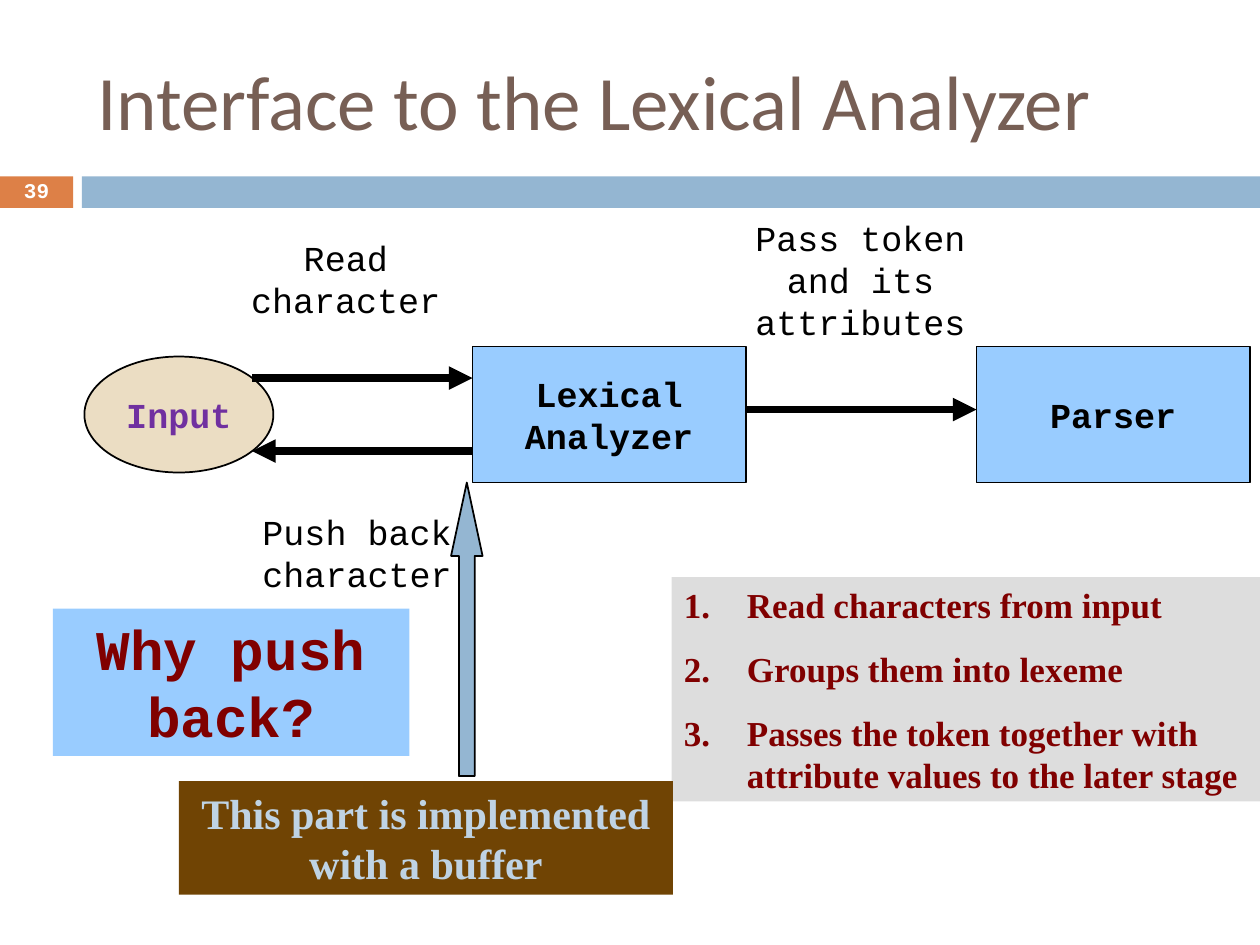
from lxml import etree
from pptx import Presentation
from pptx.dml.color import RGBColor
from pptx.enum.shapes import MSO_CONNECTOR, MSO_SHAPE
from pptx.enum.text import MSO_ANCHOR, MSO_AUTO_SIZE, PP_ALIGN
from pptx.oxml.ns import qn
from pptx.util import Inches, Pt

RECTANGLE, OVAL, UP_ARROW = MSO_SHAPE.RECTANGLE, MSO_SHAPE.OVAL, MSO_SHAPE.UP_ARROW
STRAIGHT = MSO_CONNECTOR.STRAIGHT
TOP, MIDDLE = MSO_ANCHOR.TOP, MSO_ANCHOR.MIDDLE
LEFT, CENTER = PP_ALIGN.LEFT, PP_ALIGN.CENTER
NO_AUTOFIT = MSO_AUTO_SIZE.NONE

TITLE_FONT, MONO, SERIF = "Calibri", "Courier New", "Times New Roman"
COLORS = {
    "title": "775F55", "orange": "DD8047", "steel": "94B6D2",
    "sky": "99CCFF", "sand": "EBDDC3", "gray": "DDDDDD", "brown": "704404",
    "black": "000000", "white": "FFFFFF", "purple": "7030A0",
    "maroon": "800000", "pale": "BFD3E4",
}


def color(name):
    return RGBColor.from_string(COLORS[name])


def add_run(paragraph, text, size, font, color_name, bold=False):
    run = paragraph.add_run()
    run.text = text
    run.font.size = Pt(size)
    run.font.name = font
    run.font.bold = bold
    run.font.color.rgb = color(color_name)


def write(shape, lines, size, font, color_name, bold=False,
          align=CENTER, anchor=TOP, gap=0, numbered=False):
    """Fill a shape with one paragraph per line."""
    frame = shape.text_frame
    frame.word_wrap = True
    frame.auto_size = NO_AUTOFIT
    frame.vertical_anchor = anchor
    for index, line in enumerate(lines):
        paragraph = frame.add_paragraph() if index else frame.paragraphs[0]
        paragraph.alignment = align
        if index and gap:
            paragraph.space_before = Pt(gap)
        if numbered:
            number_paragraph(paragraph, color_name)
        add_run(paragraph, line, size, font, color_name, bold)


def number_paragraph(paragraph, color_name):
    properties = paragraph._p.get_or_add_pPr()
    properties.set("marL", str(Inches(0.5)))
    properties.set("indent", str(Inches(-0.5)))
    bullet_color = etree.SubElement(properties, qn("a:buClr"))
    etree.SubElement(bullet_color, qn("a:srgbClr"), val=COLORS[color_name])
    etree.SubElement(properties, qn("a:buFont"), typeface="+mj-lt")
    etree.SubElement(properties, qn("a:buAutoNum"), type="arabicPeriod")


def add_block(slide, kind, box, fill, outlined=False):
    shape = slide.shapes.add_shape(kind, *map(Inches, box))
    shape.shadow.inherit = False
    shape.fill.solid()
    shape.fill.fore_color.rgb = color(fill)
    if outlined:
        shape.line.color.rgb = color("black")
        shape.line.width = Pt(1)
    else:
        shape.line.fill.background()
    return shape


def add_label(slide, box, text):
    label = slide.shapes.add_textbox(*map(Inches, box))
    write(label, [text], 20, MONO, "black")


def add_arrow(slide, start_x, end_x, y):
    arrow = slide.shapes.add_connector(
        STRAIGHT, Inches(start_x), Inches(y), Inches(end_x), Inches(y))
    arrow.line.color.rgb = color("black")
    arrow.line.width = Pt(4.5)
    etree.SubElement(arrow.line._get_or_add_ln(), qn("a:tailEnd"), type="triangle")
    etree.SubElement(arrow._element.spPr, qn("a:effectLst"))


def add_header(slide):
    title = slide.shapes.title
    title.left, title.top = Inches(0.67), Inches(0.25)
    title.width, title.height = Inches(8.92), Inches(1.08)
    write(title, ["Interface to the Lexical Analyzer"], 44, TITLE_FONT, "title",
          align=LEFT, anchor=MIDDLE)

    # Band with the slide number
    add_block(slide, RECTANGLE, (0.65, 1.4, 9.35, 0.25), "steel")
    number = add_block(slide, RECTANGLE, (0, 1.4, 0.58, 0.25), "orange")
    write(number, ["39"], 12, MONO, "white", bold=True, anchor=MIDDLE)
    number.text_frame.paragraphs[0].line_spacing = 0.8


def add_diagram(slide):
    # Stages: shape, box, fill, lines, text colour
    stages = [
        (RECTANGLE, (3.75, 2.75, 2.17, 1.08), "sky", ["Lexical", "Analyzer"], "black"),
        (RECTANGLE, (7.75, 2.75, 2.17, 1.08), "sky", ["Parser"], "black"),
        (OVAL, (0.67, 2.83, 1.5, 0.92), "sand", ["Input"], "purple"),
    ]
    for kind, box, fill, lines, text_color in stages:
        stage = add_block(slide, kind, box, fill, outlined=True)
        write(stage, lines, 20, MONO, text_color, bold=True, anchor=MIDDLE)

    # Flows between the stages
    add_arrow(slide, 5.92, 7.75, 3.25)
    add_arrow(slide, 2, 3.75, 3)
    add_arrow(slide, 3.75, 2, 3.58)
    add_label(slide, (5.58, 1.67, 2.5, 1.1), "Pass token and its attributes")
    add_label(slide, (1.58, 1.83, 2.33, 0.77), "Read character")
    add_label(slide, (1.92, 4, 1.83, 0.77), "Push back character")


def add_notes(slide):
    # Tasks of the analyzer
    tasks = add_block(slide, RECTANGLE, (5.33, 4.58, 4.67, 1.78), "gray")
    write(tasks, [
        "Read characters from input",
        "Groups them into lexeme",
        "Passes the token together with attribute values to the later stage",
    ], 20, SERIF, "maroon", bold=True, align=LEFT, gap=12.5, numbered=True)

    # Push-back question and its answer
    answer = add_block(slide, RECTANGLE, (1.42, 6.2, 3.92, 0.9), "brown")
    write(answer, ["This part is implemented with a buffer"], 24, SERIF, "pale", bold=True)
    question = add_block(slide, RECTANGLE, (0.42, 4.83, 2.83, 1.17), "sky")
    write(question, ["Why push back?"], 32, MONO, "maroon", bold=True)

    pointer = add_block(slide, UP_ARROW, (3.58, 3.83, 0.25, 2.33), "steel", outlined=True)
    pointer.adjustments[0] = 0.5
    pointer.adjustments[1] = 2.33


def main():
    presentation = Presentation()
    presentation.slide_width, presentation.slide_height = Inches(10), Inches(7.5)
    slide = presentation.slides.add_slide(presentation.slide_layouts[5])
    add_header(slide)
    add_diagram(slide)
    add_notes(slide)
    presentation.save("out.pptx")


if __name__ == "__main__":
    main()
